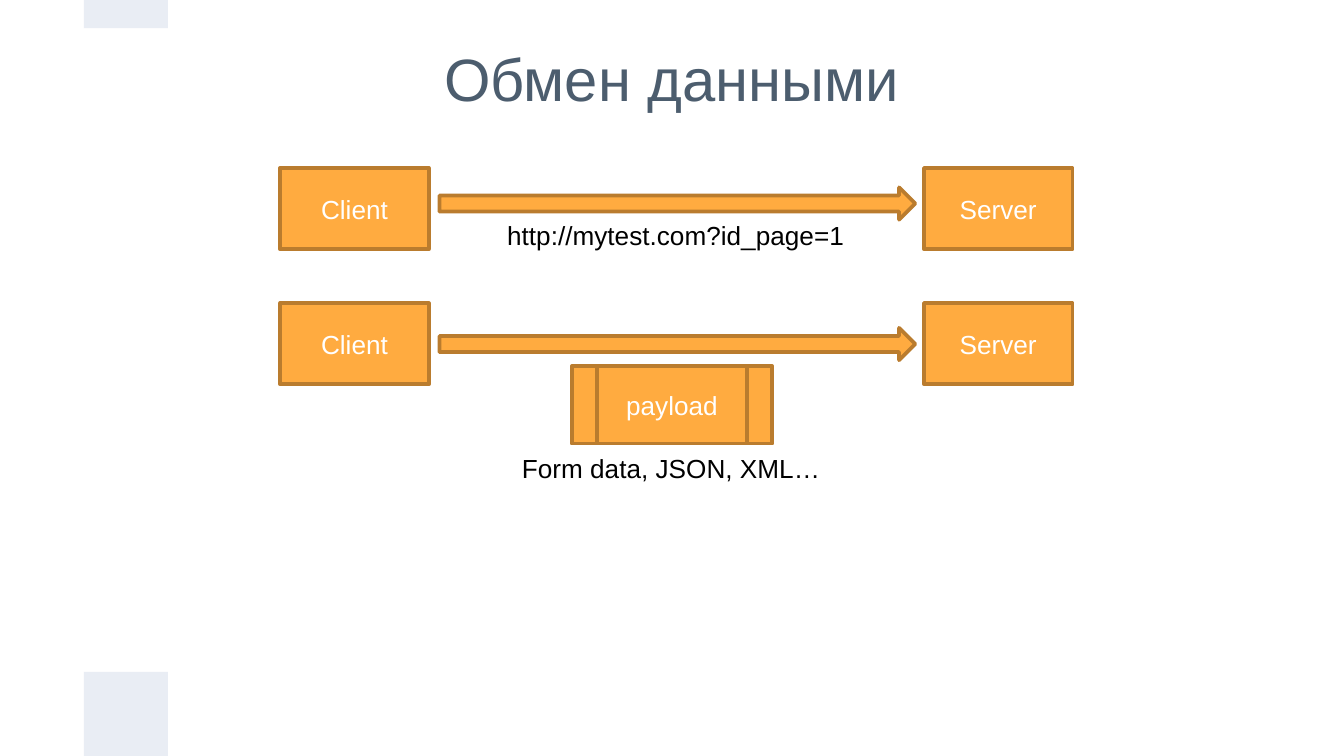
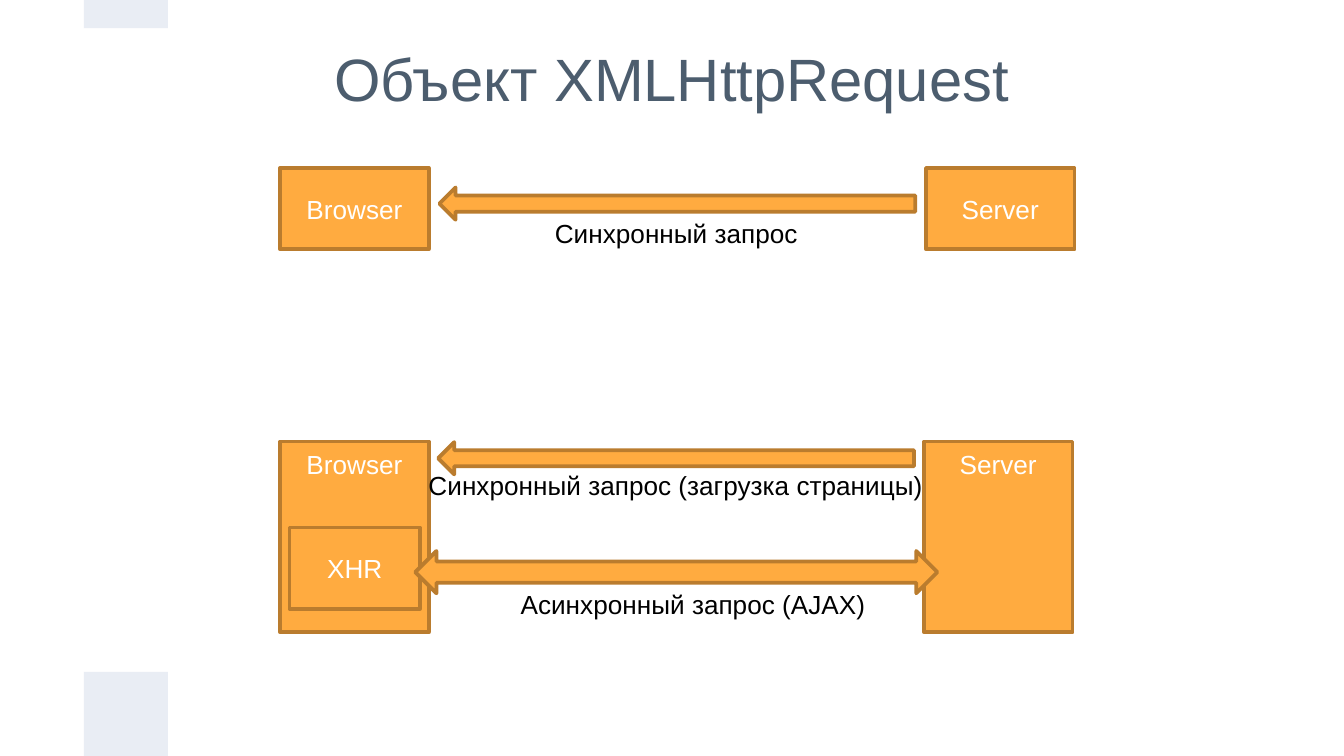
from pptx import Presentation
from pptx.dml.color import RGBColor
from pptx.enum.shapes import MSO_SHAPE as Shape
from pptx.enum.text import MSO_ANCHOR as Anchor, PP_ALIGN as Align
from pptx.util import Pt

PX = 4572
FONT = "Arial"
COLORS = {
    "title": "4C5D6E",
    "band": "E9EDF4",
    "fill": "FFAB40",
    "line": "BA7C2E",
    "light": "FFFFFF",
    "dark": "000000",
}


def write_text(box, text, size, color, align, anchor, margin=10):
    frame = box.text_frame
    frame.vertical_anchor = anchor
    frame.margin_left = frame.margin_right = 20 * PX
    frame.margin_top = frame.margin_bottom = margin * PX
    para = frame.paragraphs[0]
    para.alignment = align
    span = para.add_run()
    span.text = text
    span.font.name = FONT
    span.font.size = Pt(size)
    span.font.color.rgb = RGBColor.from_string(COLORS[color])


def add_block(page, kind, place, fill="fill", line="line"):
    block = page.shapes.add_shape(kind, *[n * PX for n in place])
    block.shadow.inherit = False
    block.fill.solid()
    block.fill.fore_color.rgb = RGBColor.from_string(COLORS[fill])
    if line:
        block.line.color.rgb = RGBColor.from_string(COLORS[line])
        block.line.width = Pt(2)
    else:
        block.line.fill.background()
    return block


BANDS = [(125, 1000, 125, 125), (125, 0, 125, 42)]
RECT, PROCESS = Shape.RECTANGLE, Shape.FLOWCHART_PREDEFINED_PROCESS
RIGHT, BOTH = Shape.RIGHT_ARROW, Shape.LEFT_RIGHT_ARROW
MIDDLE, TOP = Anchor.MIDDLE, Anchor.TOP

SLIDES = [
    {
        "title": "Обмен данными",
        "nodes": [
            (RECT, name, (left, top, 221, 121), MIDDLE)
            for name, left in (("Client", 417), ("Server", 1375))
            for top in (250, 451)
        ],
        "arrows": [
            (RIGHT, (654, 279, 708, 48), 0),
            (RIGHT, (654, 488, 708, 48), 0),
        ],
        "labels": [
            ("http://mytest.com?id_page=1", (735, 316, 544, 67)),
            ("Form data, JSON, XML…", (757, 664, 486, 67)),
        ],
        "payload": (PROCESS, "payload", (851, 545, 298, 115), MIDDLE),
    },
    {
        "title": "Объект XMLHttpRequest",
        "nodes": [
            (RECT, "Browser", (417, 250, 221, 121), MIDDLE),
            (RECT, "Server", (1378, 250, 221, 121), MIDDLE),
            (RECT, "Browser", (417, 657, 221, 284), TOP),
            (RECT, "Server", (1375, 657, 221, 284), TOP),
            (RECT, "XHR", (431, 785, 194, 121), MIDDLE),
        ],
        "arrows": [
            (RIGHT, (654, 279, 708, 48), 180),
            (RIGHT, (652, 658, 708, 48), 180),
            (BOTH, (618, 820, 777, 63), 0),
        ],
        "labels": [
            ("Синхронный запрос", (806, 314, 404, 67)),
            ("Синхронный запрос (загрузка страницы)", (618, 689, 780, 67)),
            ("Асинхронный запрос (AJAX)", (755, 866, 558, 67)),
        ],
    },
]

deck = Presentation()
deck.slide_width = 2000 * PX
deck.slide_height = 1125 * PX

for content in SLIDES:
    page = deck.slides.add_slide(deck.slide_layouts[6])

    title = page.shapes.add_textbox(8 * PX, 61 * PX, 1984 * PX, 108 * PX)
    title.text_frame.word_wrap = True
    write_text(title, content["title"], 32, "title", Align.CENTER, MIDDLE, 20)

    for place in BANDS:
        add_block(page, RECT, place, "band", None)

    nodes = content["nodes"] + [content[key] for key in ("payload",) if key in content]
    for kind, name, place, anchor in nodes:
        node = add_block(page, kind, place)
        write_text(node, name, 14, "light", Align.CENTER, anchor)

    for kind, place, angle in content["arrows"]:
        arrow = add_block(page, kind, place)
        arrow.rotation = angle

    for text, place in content["labels"]:
        label = page.shapes.add_textbox(*[n * PX for n in place])
        label.text_frame.word_wrap = False
        write_text(label, text, 14, "dark", Align.LEFT, TOP)

deck.save("out.pptx")
